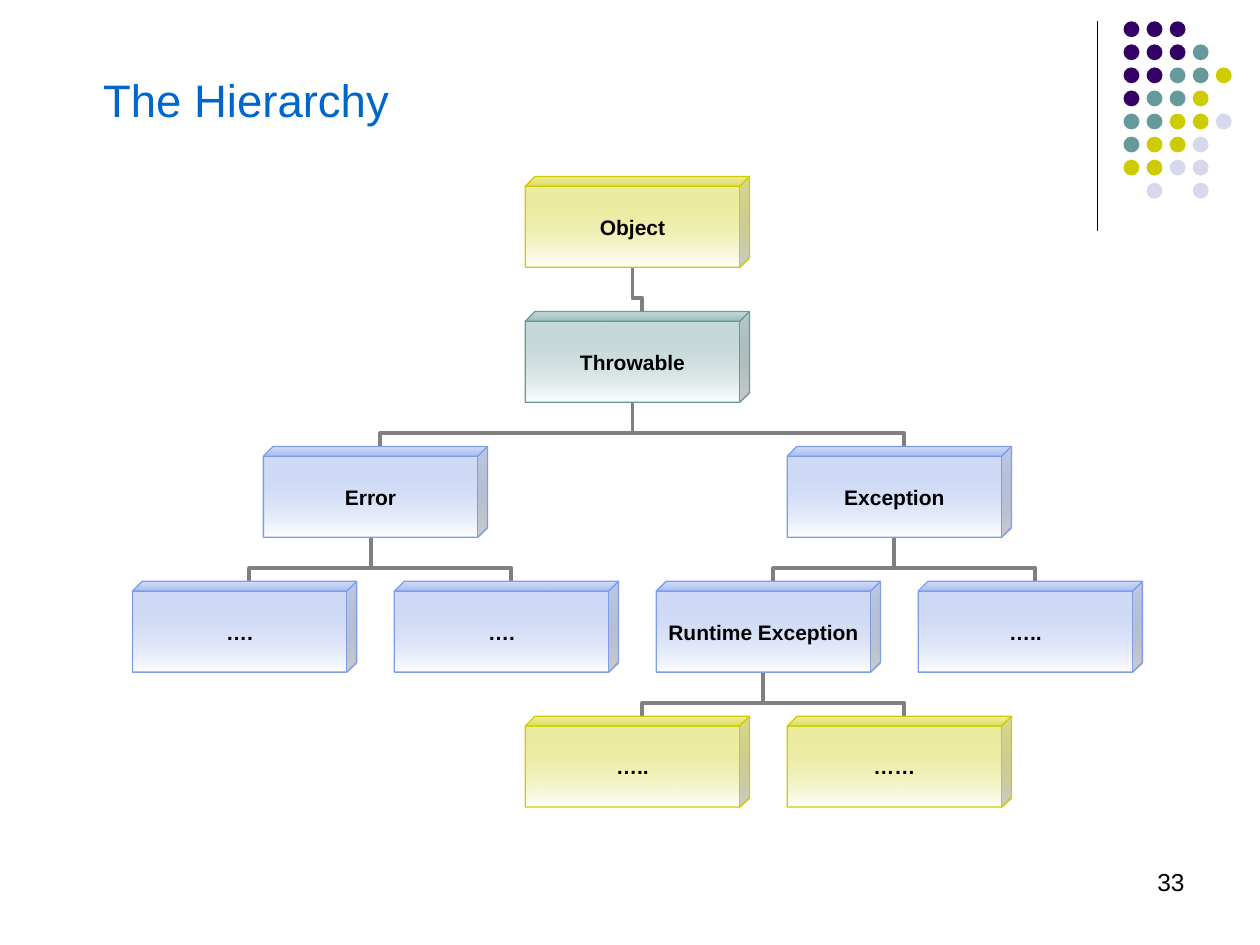
from dataclasses import dataclass

from lxml import etree
from pptx import Presentation
from pptx import util as u
from pptx.dml.color import RGBColor
from pptx.enum import shapes, text
from pptx.oxml.ns import qn


@dataclass(frozen=True)
class Theme:
    font: str = "Arial"
    title_size: int = 26
    number_size: int = 14
    box_size: int = 12
    title: str = "0066CC"
    ink: str = "000000"
    fade: str = "FFFFFF"
    link: str = "808080"
    purple: str = "330066"
    teal: str = "669999"
    olive: str = "CCCC00"
    lilac: str = "D8D8EC"
    blue: str = "7E9CE8"


THEME = Theme()

# Tree geometry in cm; columns are half a box pitch apart.
LEFT, TOP, COL_STEP, ROW_STEP = 2.67, 3.56, 2.64, 2.72
BOX_W, BOX_H, DEPTH = 4.52, 1.83, 0.108

# key: (label, column, row, colour, parent key)
TREE = {
    "object": ("Object", 3, 0, THEME.olive, None),
    "throwable": ("Throwable", 3, 1, THEME.teal, "object"),
    "error": ("Error", 1, 2, THEME.blue, "throwable"),
    "exception": ("Exception", 5, 2, THEME.blue, "throwable"),
    "runtime": ("Runtime Exception", 4, 3, THEME.blue, "exception"),
    "error_1": ("….", 0, 3, THEME.blue, "error"),
    "error_2": ("….", 2, 3, THEME.blue, "error"),
    "exception_2": ("…..", 6, 3, THEME.blue, "exception"),
    "runtime_1": ("…..", 3, 4, THEME.olive, "runtime"),
    "runtime_2": ("……", 5, 4, THEME.olive, "runtime"),
}

DOT_COLOURS = {"P": THEME.purple, "T": THEME.teal, "O": THEME.olive, "L": THEME.lilac}
DOT_ROWS = ["PPP", "PPPT", "PPTTO", "PTTO", "TTOOL", "TOOL", "OOLL", ".L.L"]


def rgb(colour):
    return RGBColor.from_string(colour)


def add_run(p, words, size, colour, bold=False):
    r = p.add_run()
    r.text = words
    r.font.name = THEME.font
    r.font.size = u.Pt(size)
    r.font.bold = bold
    r.font.color.rgb = rgb(colour)


def add_text(s, words, x, y, w, h, size, colour, align):
    tf = s.shapes.add_textbox(u.Cm(x), u.Cm(y), u.Cm(w), u.Cm(h)).text_frame
    tf.word_wrap = True
    p = tf.paragraphs[0]
    p.alignment = align
    add_run(p, words, size, colour)


def add_line(s, kind, x1, y1, x2, y2, colour, weight):
    line = s.shapes.add_connector(kind, u.Cm(x1), u.Cm(y1), u.Cm(x2), u.Cm(y2))
    line.line.color.rgb = rgb(colour)
    line.line.width = u.Pt(weight)
    etree.SubElement(line._element.spPr, qn("a:effectLst"))
    return line


def add_dots(s):
    for row, colours in enumerate(DOT_ROWS):
        for col, key in enumerate(colours):
            if key == ".":
                continue
            dot = s.shapes.add_shape(
                shapes.MSO_SHAPE.OVAL,
                u.Cm(22.65 + 0.465 * col), u.Cm(0.43 + 0.465 * row),
                u.Cm(0.32), u.Cm(0.32))
            dot.shadow.inherit = False
            dot.fill.solid()
            dot.fill.fore_color.rgb = rgb(DOT_COLOURS[key])
            dot.line.fill.background()


def box_corner(key):
    col, row = TREE[key][1:3]
    return LEFT + COL_STEP * col, TOP + ROW_STEP * row


def add_link(s, child, parent):
    """Run an elbow from the child's top face up to the parent's front face."""
    child_x, child_y = box_corner(child)
    parent_x, parent_y = box_corner(parent)
    edge = DEPTH * BOX_H
    x1, y1 = child_x + (BOX_W + edge) / 2, child_y
    x2, y2 = parent_x + (BOX_W - edge) / 2, parent_y + BOX_H
    mid_x, mid_y = (x1 + x2) / 2, (y1 + y2) / 2
    rise, run = y1 - y2, x1 - x2
    # Laid out sideways, then turned by 270 degrees about its centre.
    link = add_line(s, shapes.MSO_CONNECTOR.ELBOW,
                    mid_x - rise / 2, mid_y + run / 2,
                    mid_x + rise / 2, mid_y - run / 2, THEME.link, 2.25)
    sp_pr = link._element.spPr
    sp_pr.find(qn("a:xfrm")).set("rot", str(270 * 60000))
    guides = sp_pr.find(qn("a:prstGeom")).find(qn("a:avLst"))
    etree.SubElement(guides, qn("a:gd"), name="adj1", fmla="val 30000")


def add_box(s, key):
    label, _, _, colour, _ = TREE[key]
    x, y = box_corner(key)
    sp = s.shapes.add_shape(shapes.MSO_SHAPE.CUBE,
                            u.Cm(x), u.Cm(y), u.Cm(BOX_W), u.Cm(BOX_H))
    sp.adjustments[0] = DEPTH
    sp.shadow.inherit = False
    sp.line.color.rgb = rgb(colour)
    sp.line.width = u.Pt(0.75)
    sp.fill.gradient()
    sp.fill.gradient_angle = 270
    for stop, stop_colour in zip(sp.fill.gradient_stops, (colour, THEME.fade)):
        stop.color.rgb = rgb(stop_colour)
    first = next(sp._element.spPr.iter(qn("a:srgbClr")))
    etree.SubElement(first, qn("a:alpha"), val="40000")

    tf = sp.text_frame
    tf.margin_left = tf.margin_right = tf.margin_top = tf.margin_bottom = 0
    tf.vertical_anchor = text.MSO_ANCHOR.MIDDLE
    tf.word_wrap = False
    p = tf.paragraphs[0]
    p.alignment = text.PP_ALIGN.CENTER
    add_run(p, label, THEME.box_size, THEME.ink, bold=True)


def main():
    prs = Presentation()
    prs.slide_width, prs.slide_height = u.Cm(25.4), u.Cm(19.05)
    s = prs.slides.add_slide(prs.slide_layouts[6])

    add_line(s, shapes.MSO_CONNECTOR.STRAIGHT, 22.12, 0.43, 22.12, 4.65, THEME.ink, 0.75)
    add_dots(s)
    add_text(s, "33", 18.21, 17.35, 5.92, 1.32,
             THEME.number_size, THEME.ink, text.PP_ALIGN.RIGHT)
    for key, node in TREE.items():
        if node[-1]:
            add_link(s, key, node[-1])
    for key in TREE:
        add_box(s, key)
    add_text(s, "The Hierarchy", 1.83, 1.32, 11.1, 1.37,
             THEME.title_size, THEME.title, text.PP_ALIGN.LEFT)
    prs.save("out.pptx")


if __name__ == "__main__":
    main()
